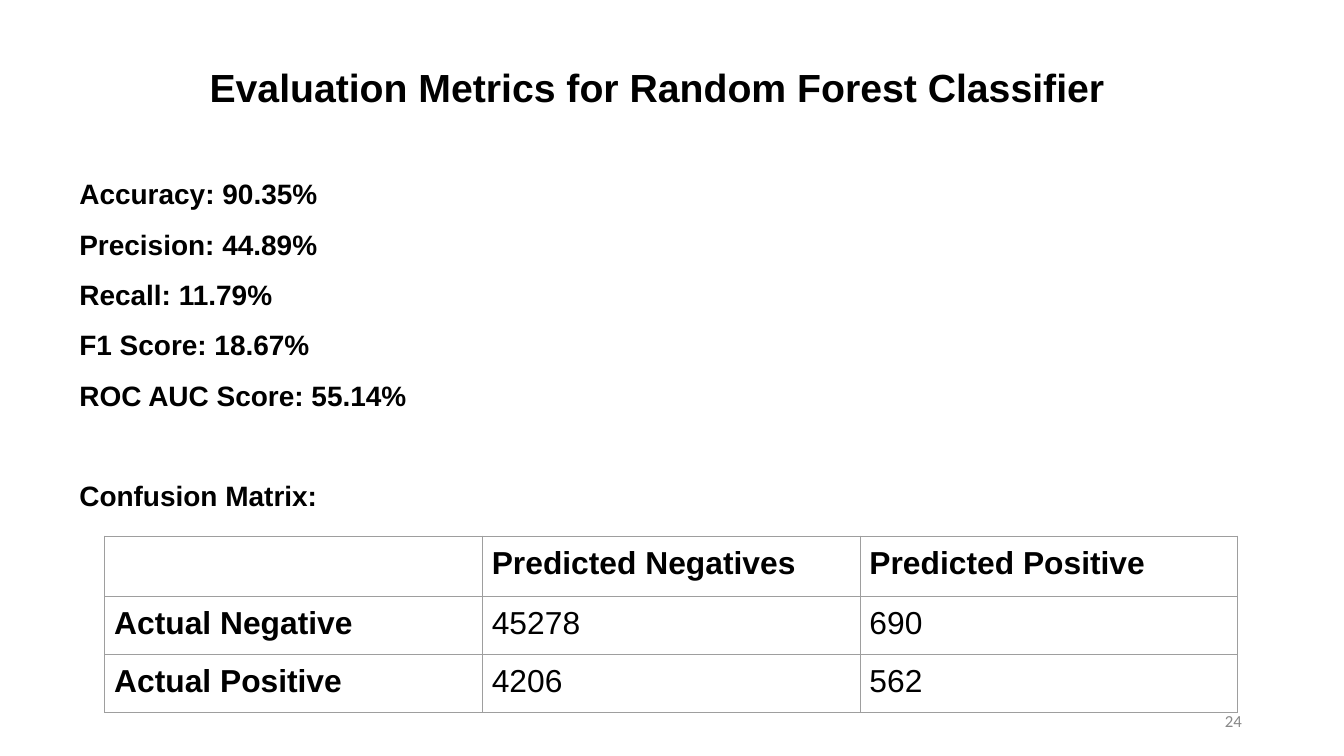
import pptx
import pptx.dml.color
import pptx.enum.text
import pptx.oxml
import pptx.oxml.ns
import pptx.util

Inches, Pt = pptx.util.Inches, pptx.util.Pt
Align, Anchor = pptx.enum.text.PP_ALIGN, pptx.enum.text.MSO_ANCHOR

deck = pptx.Presentation()
deck.slide_width = Inches(10)
deck.slide_height = deck.slide_width * 9 // 16
slide = deck.slides.add_slide(deck.slide_layouts[6])


def style(para, text, size, bold=True, face="Arial", color="000000"):
    """Add a run of text with its font to a paragraph."""
    run = para.add_run()
    run.text = text
    look = {"size": Pt(size), "bold": bold, "name": face}
    for key, value in look.items():
        setattr(run.font, key, value)
    run.font.color.rgb = pptx.dml.color.RGBColor.from_string(color)


def add_box(left, top, width, height, inset=0.07, anchor=Anchor.TOP):
    """Add a text box in inches and return its text frame."""
    box = slide.shapes.add_textbox(*map(Inches, (left, top, width, height)))
    frame = box.text_frame
    look = {
        "word_wrap": True,
        "vertical_anchor": anchor,
        "margin_left": Inches(inset),
        "margin_right": Inches(0.07),
        "margin_top": Inches(0.04),
        "margin_bottom": Inches(0.04),
    }
    for key, value in look.items():
        setattr(frame, key, value)
    return frame


# Page number
para = add_box(7.06, 5.21, 2.25, 0.3, anchor=Anchor.MIDDLE).paragraphs[0]
para.alignment = Align.RIGHT
style(para, "24", 9, False, "Calibri", "888888")

# Title
para = add_box(1.34, 0.43, 7.1, 0.43).paragraphs[0]
para.alignment = Align.CENTER
style(para, "Evaluation Metrics for Random Forest Classifier", 21)

# Scores, then the heading of the table one line further down
lines = [
    "Accuracy: 90.35%",
    "Precision: 44.89%",
    "Recall: 11.79%",
    "F1 Score: 18.67%",
    "ROC AUC Score: 55.14%",
    "Confusion Matrix:",
]
frame = add_box(0.45, 1.15, 9.09, 2.73, inset=0.14)
for i, line in enumerate(lines):
    para = frame.paragraphs[0] if i == 0 else frame.add_paragraph()
    para.alignment = Align.JUSTIFY
    para.line_spacing = 1.5
    style(para, line, 15)
para.space_before = Pt(27)

# Confusion matrix
rows = [
    ["", "Predicted Negatives", "Predicted Positive"],
    ["Actual Negative", "45278", "690"],
    ["Actual Positive", "4206", "562"],
]
tall = [0.45, 0.43, 0.43]
wide = 2.81
grid = slide.shapes.add_table(
    3, 3, Inches(0.78), Inches(3.99), Inches(3 * wide), Inches(sum(tall))
).table
grid.horz_banding = False
grid.first_row = False
for col in grid.columns:
    col.width = Inches(wide)

edge = (
    '<a:{} {} w="9525"><a:solidFill><a:srgbClr val="9E9E9E"/>'
    "</a:solidFill></a:{}>"
)
space = pptx.oxml.ns.nsdecls("a")
for r, row in enumerate(rows):
    grid.rows[r].height = Inches(tall[r])
    for c, text in enumerate(row):
        cell = grid.cell(r, c)
        for side in ("left", "right", "top", "bottom"):
            setattr(cell, "margin_" + side, Inches(0.07))
        props = cell._tc.get_or_add_tcPr()
        for tag in ("lnL", "lnR", "lnT", "lnB"):
            props.append(pptx.oxml.parse_xml(edge.format(tag, space, tag)))
        cell.fill.background()
        if text:
            style(cell.text_frame.paragraphs[0], text, 17, r == 0 or c == 0)

deck.save("out.pptx")
